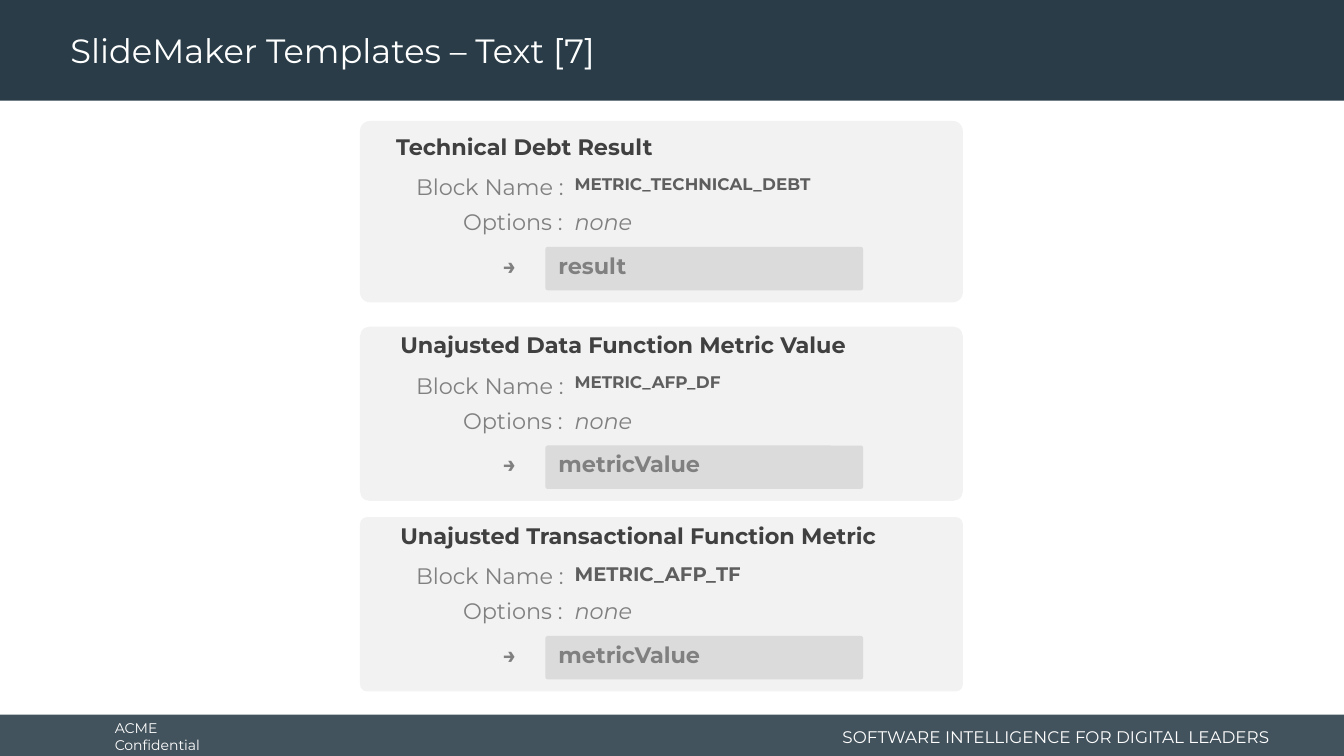
from dataclasses import dataclass

from lxml import etree
from pptx import Presentation
from pptx.dml.color import RGBColor
from pptx.enum.shapes import MSO_SHAPE
from pptx.enum.text import MSO_ANCHOR, PP_ALIGN
from pptx.oxml.ns import qn
from pptx.util import Inches, Pt

RECT = MSO_SHAPE.RECTANGLE
ROUNDED = MSO_SHAPE.ROUNDED_RECTANGLE
MIDDLE = MSO_ANCHOR.MIDDLE
RIGHT = PP_ALIGN.RIGHT


@dataclass(frozen=True)
class Theme:
    font: str = "Montserrat"
    navy: str = "293C47"
    white: str = "FFFFFF"
    card: str = "F2F2F2"
    result: str = "BFBFBF"
    heading: str = "404040"
    code: str = "5E5E5E"
    label: str = "808080"
    title_size: int = 24
    body_size: int = 16
    code_size: int = 12
    large_code_size: int = 14
    tagline_size: int = 12
    notice_size: int = 10


@dataclass(frozen=True)
class Metric:
    heading: str
    heading_left: float
    block_name: str
    result: str
    card_top: float
    row_top: float
    code_size: int
    corner: float = 0.056


THEME = Theme()
SLIDE_WIDTH, SLIDE_HEIGHT = 13.33, 7.5
FOOTER_TOP = 7.09
METRICS = (
    Metric("Technical Debt Result", 3.73, "METRIC_TECHNICAL_DEBT", "result",
           1.2, 1.67, THEME.code_size),
    Metric("Unajusted Data Function Metric Value", 3.77, "METRIC_AFP_DF",
           "metricValue", 3.24, 3.64, THEME.code_size),
    Metric("Unajusted Transactional Function Metric", 3.77, "METRIC_AFP_TF",
           "metricValue", 5.13, 5.53, THEME.large_code_size, 0.041),
)


def add_box(shapes, kind, box, color, opacity=100, corner=None):
    sp = shapes.add_shape(kind, *map(Inches, box))
    sp.shadow.inherit = False
    sp.line.fill.background()
    sp.fill.solid()
    sp.fill.fore_color.rgb = RGBColor.from_string(color)
    if corner is not None:
        sp.adjustments[0] = corner
    if opacity < 100:
        clr = sp.fill._xPr.find(f"{qn('a:solidFill')}/{qn('a:srgbClr')}")
        etree.SubElement(clr, qn("a:alpha")).set("val", str(opacity * 1000))


def add_text(shapes, box, text, color, size=THEME.body_size, align=None,
             anchor=MSO_ANCHOR.TOP, wrap=True, side_inset=0.1,
             line_spacing=None, **style):
    """Add one line of text; style holds font flags such as bold or italic."""
    tf = shapes.add_textbox(*map(Inches, box)).text_frame
    frame_format = {"word_wrap": wrap, "vertical_anchor": anchor,
                    "margin_left": Inches(side_inset),
                    "margin_right": Inches(side_inset)}
    for name, value in frame_format.items():
        setattr(tf, name, value)
    p = tf.paragraphs[0]
    p.alignment = align
    p.line_spacing = line_spacing
    r = p.add_run()
    r.text = text
    r.font.color.rgb = RGBColor.from_string(color)
    for name, value in {"name": THEME.font, "size": Pt(size), **style}.items():
        setattr(r.font, name, value)


def add_frame(shapes):
    """Add the title bar and the footer."""
    add_box(shapes, RECT,
            (0, FOOTER_TOP, SLIDE_WIDTH, SLIDE_HEIGHT - FOOTER_TOP),
            THEME.navy, opacity=88)
    add_box(shapes, RECT, (0, 0, SLIDE_WIDTH, 1), THEME.navy)
    add_text(shapes, (1.04, 7.11, 1.48, 0.4), "ACME Confidential",
             THEME.white, THEME.notice_size, anchor=MIDDLE, wrap=False)
    add_text(shapes, (8.11, 7.15, 4.58, 0.32),
             "SOFTWARE INTELLIGENCE FOR DIGITAL LEADERS",
             THEME.white, THEME.tagline_size, align=RIGHT, anchor=MIDDLE)
    add_text(shapes, (0.6, 0.04, 9.58, 0.96),
             "SlideMaker Templates – Text [7]", THEME.white,
             THEME.title_size, anchor=MIDDLE, line_spacing=0.9)


def add_metric_card(slide, metric):
    shapes = slide.shapes.add_group_shape().shapes
    row = metric.row_top
    options_top, result_top = row + 0.35, row + 0.78

    add_box(shapes, ROUNDED,
            (3.57, metric.card_top, 5.98, row + 1.33 - metric.card_top),
            THEME.card, corner=metric.corner)
    add_text(shapes, (metric.heading_left, row - 0.4, 5.68, 0.37),
             metric.heading, THEME.heading, side_inset=0.2, bold=True)
    add_text(shapes, (4.02, row, 1.67, 0.37), "Block Name :", THEME.label,
             align=RIGHT, wrap=False)
    add_text(shapes, (5.6, row, 3.27, 0.3), metric.block_name, THEME.code,
             metric.code_size, bold=True)
    add_text(shapes, (4.47, options_top, 1.21, 0.37), "Options :",
             THEME.label, align=RIGHT, wrap=False)
    add_text(shapes, (5.6, options_top, 3.03, 0.37), "none", THEME.label,
             italic=True)
    add_text(shapes, (4.89, result_top, 0.48, 0.44), "→", THEME.label,
             bold=True)
    add_box(shapes, ROUNDED, (5.41, result_top, 3.15, 0.43), THEME.result,
            opacity=45, corner=0.049)
    add_text(shapes, (5.44, result_top, 2.99, 0.44), metric.result,
             THEME.label, bold=True)


def main():
    prs = Presentation()
    prs.slide_width = Inches(SLIDE_WIDTH)
    prs.slide_height = Inches(SLIDE_HEIGHT)
    slide = prs.slides.add_slide(prs.slide_layouts[6])
    add_frame(slide.shapes)
    for metric in METRICS:
        add_metric_card(slide, metric)
    prs.save("out.pptx")


if __name__ == "__main__":
    main()
